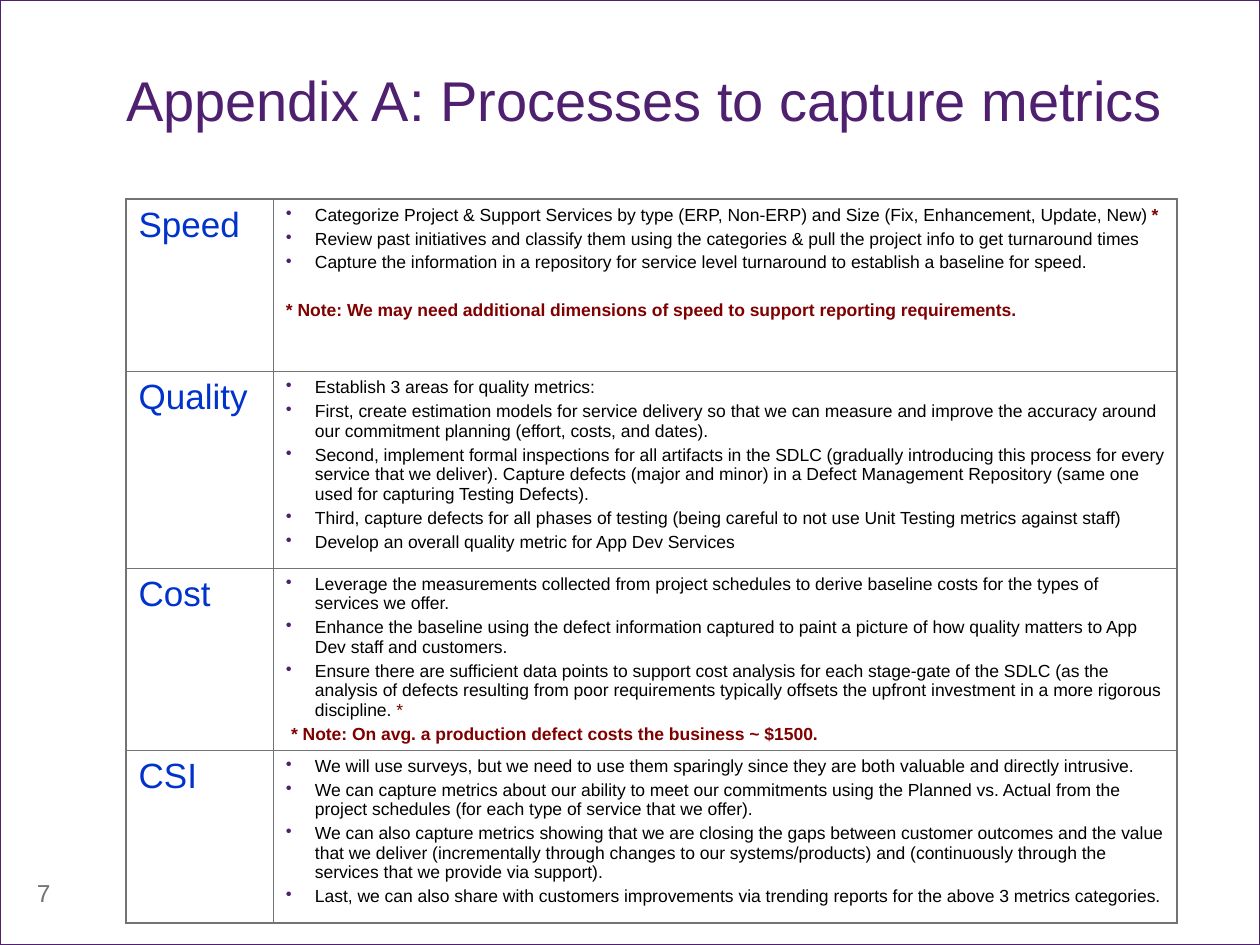
from dataclasses import dataclass

from lxml.etree import SubElement
from pptx import Presentation
from pptx.dml.color import RGBColor
from pptx.enum.shapes import MSO_SHAPE
from pptx.enum.text import MSO_ANCHOR, PP_ALIGN
from pptx.oxml import parse_xml
from pptx.oxml.ns import nsdecls, qn
from pptx.util import Inches, Pt


@dataclass(frozen=True)
class Theme:
    font: str = "Arial"
    purple: str = "4F2070"
    blue: str = "0033CC"
    black: str = "000000"
    maroon: str = "800000"
    gray: str = "737373"
    title_size: float = 32
    label_size: float = 20
    body_size: float = 10
    number_size: float = 14
    frame_line: float = 0.75
    outer_line: float = 1.08
    inner_line: float = 0.45


THEME = Theme()
TITLE = "Appendix A: Processes to capture metrics"
PAGE_NUMBER = "7"
STAR, BOLD_STAR = ("*", False), ("*", True)
NO_NOTE = ("", 0, 0)

# label, row height, bullets, star after a bullet (index to star), note (text, space before, indent)
ROWS = [
    ("Speed", 1.37, [
        "Categorize Project & Support Services by type (ERP, Non-ERP) and Size (Fix, Enhancement, Update, New) ",
        "Review past initiatives and classify them using the categories & pull the project info to get turnaround times",
        "Capture the information in a repository for service level turnaround to establish a baseline for speed.",
    ], {0: BOLD_STAR},
     ("* Note: We may need additional dimensions of speed to support reporting requirements.", 16.2, 0)),
    ("Quality", 1.56, [
        "Establish 3 areas for quality metrics:",
        "First, create estimation models for service delivery so that we can measure and improve the accuracy "
        "around our commitment planning (effort, costs, and dates).",
        "Second, implement formal inspections for all artifacts in the SDLC (gradually introducing this process "
        "for every service that we deliver). Capture defects (major and minor) in a Defect Management Repository "
        "(same one used for capturing Testing Defects).",
        "Third, capture defects for all phases of testing (being careful to not use Unit Testing metrics against staff)",
        "Develop an overall quality metric for App Dev Services",
    ], {}, NO_NOTE),
    ("Cost", 1.38, [
        "Leverage the measurements collected from project schedules to derive baseline costs for the types of "
        "services we offer.",
        "Enhance the baseline using the defect information captured to paint a picture of how quality matters to "
        "App Dev staff and customers.",
        "Ensure there are sufficient data points to support cost analysis for each stage-gate of the SDLC (as the "
        "analysis of defects resulting from poor requirements typically offsets the upfront investment in a more "
        "rigorous discipline. ",
    ], {2: STAR},
     ("* Note: On avg. a production defect costs the business ~ $1500.", 2.5, 0.04)),
    ("CSI", 1.37, [
        "We will use surveys, but we need to use them sparingly since they are both valuable and directly intrusive.",
        "We can capture metrics about our ability to meet our commitments using the Planned vs. Actual from the "
        "project schedules (for each type of service that we offer).",
        "We can also capture metrics showing that we are closing the gaps between customer outcomes and the value "
        "that we deliver (incrementally through changes to our systems/products) and (continuously through the "
        "services that we provide via support).",
        "Last, we can also share with customers improvements via trending reports for the above 3 metrics categories.",
    ], {}, NO_NOTE),
]
COLUMNS = [1.17, 7.17]
BULLET_GAP = 2.5
BULLET_INDENT = 0.23


def style(font, size, color, bold=False):
    font.name = THEME.font
    font.size = Pt(size)
    font.bold = bold
    font.color.rgb = RGBColor.from_string(color)


def add_span(para, text, size, color, bold=False):
    span = para.add_run()
    span.text = text
    style(span.font, size, color, bold)


def set_indent(para, left, bullet=False):
    properties = para._p.get_or_add_pPr()
    properties.set("marL", str(Inches(left)))
    properties.set("indent", str(-Inches(left) if bullet else 0))
    if bullet:
        color = SubElement(properties, qn("a:buClr"))
        SubElement(color, qn("a:srgbClr"), val=THEME.purple)
        SubElement(properties, qn("a:buChar"), char="•")
    else:
        SubElement(properties, qn("a:buNone"))


def next_para(frame, gap):
    if not frame.paragraphs[0].runs:
        return frame.paragraphs[0]
    para = frame.add_paragraph()
    para.space_before = Pt(gap)
    return para


def set_borders(cell, outer_sides):
    properties = cell._tc.get_or_add_tcPr()
    for position, side in enumerate("LRTB"):
        width = THEME.outer_line if side in outer_sides else THEME.inner_line
        properties.insert(position, parse_xml(
            f'<a:ln{side} {nsdecls("a")} w="{Pt(width)}"><a:solidFill>'
            f'<a:srgbClr val="{THEME.gray}"/></a:solidFill></a:ln{side}>'))


def add_frame(page, deck):
    frame = page.shapes.add_shape(MSO_SHAPE.RECTANGLE, 0, 0, deck.slide_width, deck.slide_height)
    frame.shadow.inherit = False
    frame.fill.background()
    frame.line.color.rgb = RGBColor.from_string(THEME.purple)
    frame.line.width = Pt(THEME.frame_line)
    page.shapes._spTree.insert(2, frame._element)


def add_title(page):
    title = page.shapes.title
    title.left, title.top, title.width, title.height = map(Inches, (1, 0.58, 8.33, 0.67))
    frame = title.text_frame
    frame.text = TITLE
    frame.word_wrap = True
    frame.vertical_anchor = MSO_ANCHOR.TOP
    frame.margin_left = frame.margin_right = frame.margin_top = frame.margin_bottom = 0
    para = frame.paragraphs[0]
    para.alignment = PP_ALIGN.LEFT
    para.line_spacing = 0.9
    style(para.runs[0].font, THEME.title_size, THEME.purple)


def fill_details(frame, bullets, stars, note):
    for index, text in enumerate(bullets):
        para = next_para(frame, BULLET_GAP)
        set_indent(para, BULLET_INDENT, bullet=True)
        add_span(para, text, THEME.body_size, THEME.black)
        if index in stars:
            star, bold = stars[index]
            add_span(para, star, THEME.body_size, THEME.maroon, bold)
    text, gap, indent = note
    if text:
        para = next_para(frame, gap)
        set_indent(para, indent)
        add_span(para, text, THEME.body_size, THEME.maroon, True)


def add_metrics_table(page):
    heights = [row[1] for row in ROWS]
    shape = page.shapes.add_table(len(ROWS), len(COLUMNS), Inches(1), Inches(1.58),
                                  Inches(sum(COLUMNS)), Inches(sum(heights)))
    table = shape.table
    table.first_row = table.horz_banding = False
    for column, width in zip(table.columns, COLUMNS):
        column.width = Inches(width)
    for index, (label, height, bullets, stars, note) in enumerate(ROWS):
        table.rows[index].height = Inches(height)
        edge = ("T" if index == 0 else "") + ("B" if index == len(ROWS) - 1 else "")
        for column, side in enumerate("LR"):
            cell = table.cell(index, column)
            cell.fill.background()
            set_borders(cell, edge + side)
        add_span(table.cell(index, 0).text_frame.paragraphs[0], label, THEME.label_size, THEME.blue)
        fill_details(table.cell(index, 1).text_frame, bullets, stars, note)


def add_page_number(page):
    box = page.shapes.add_textbox(0, Inches(6.92), Inches(0.5), Inches(0.44))
    box.text_frame.word_wrap = True
    para = box.text_frame.paragraphs[0]
    para.alignment = PP_ALIGN.RIGHT
    add_span(para, PAGE_NUMBER, THEME.number_size, THEME.gray)


def main():
    deck = Presentation()
    deck.slide_width, deck.slide_height = Inches(10), Inches(7.5)
    page = deck.slides.add_slide(deck.slide_layouts[5])
    add_frame(page, deck)
    add_title(page)
    add_metrics_table(page)
    add_page_number(page)
    deck.save("out.pptx")


if __name__ == "__main__":
    main()
